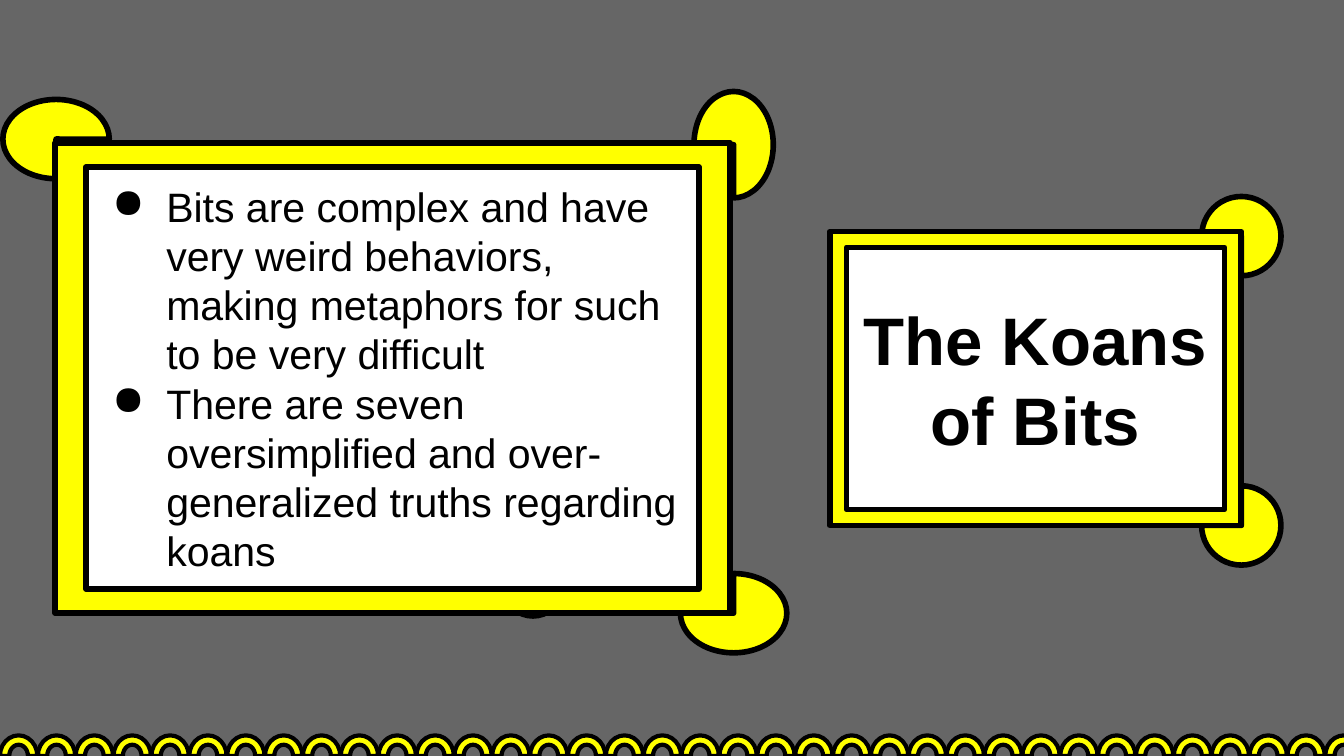
import pptx
import pptx.util
import pptx.dml.color
import pptx.enum.shapes
import pptx.enum.text
import lxml.etree

Pt = pptx.util.Pt
SHAPE = pptx.enum.shapes.MSO_SHAPE
ALIGN = pptx.enum.text.PP_ALIGN
COLORS = {"gray": "666666", "yellow": "FFFF00", "black": "000000", "white": "FFFFFF"}
FONT = "Arial"
SLIDE_W, SLIDE_H = 720, 405


def rgb(name):
    return pptx.dml.color.RGBColor.from_string(COLORS[name])


def add_shape(s, kind, box, fill, line="black", width=3):
    sp = s.shapes.add_shape(kind, *(Pt(v) for v in box))
    sp.shadow.inherit = False
    sp.fill.solid()
    sp.fill.fore_color.rgb = rgb(fill)
    sp.line.color.rgb = rgb(line)
    sp.line.width = Pt(width)
    return sp


def add_knob(s, cx, cy, w, h, rotation, flip=False):
    """Three-quarter pie centred on a point."""
    sp = add_shape(s, SHAPE.PIE, (cx - w / 2, cy - h / 2, w, h), "yellow")
    sp.rotation = rotation
    if flip:
        sp._element.spPr.xfrm.set("flipH", "1")


def add_bullet(p):
    pPr = p._p.get_or_add_pPr()
    pPr.set("marL", str(Pt(36)))
    pPr.set("indent", str(Pt(-29)))
    ns = "{http://schemas.openxmlformats.org/drawingml/2006/main}"
    color = lxml.etree.SubElement(pPr, ns + "buClr")
    lxml.etree.SubElement(color, ns + "srgbClr", val=COLORS["black"])
    lxml.etree.SubElement(pPr, ns + "buChar", char="●")


def add_card(s, box, inset, knobs, knob_size, lines, size, title=False):
    """Yellow frame with corner knobs behind it and a white text panel."""
    x, y, w, h = box
    dx, dy = inset
    for kx, ky, rotation in knobs:
        add_knob(s, x + kx, y + ky, *knob_size, rotation, flip=title)
    add_shape(s, SHAPE.RECTANGLE, box, "yellow")
    panel = add_shape(s, SHAPE.RECTANGLE,
                      (x + dx, y + dy, w - 2 * dx, h - 2 * dy), "white")

    tf = panel.text_frame
    tf.word_wrap = True
    tf.vertical_anchor = pptx.enum.text.MSO_ANCHOR.MIDDLE
    tf.margin_left = tf.margin_right = tf.margin_top = tf.margin_bottom = Pt(7.2)
    tf.text = "\n".join(lines)
    for p in tf.paragraphs:
        p.alignment = ALIGN.CENTER if title else ALIGN.LEFT
        if not title:
            add_bullet(p)
        for r in p.runs:
            r.font.name = FONT
            r.font.size = Pt(size)
            r.font.bold = title
            r.font.color.rgb = rgb("black")


def add_scallops(s, box, count):
    """Row of arches at an equal pitch."""
    x, y, w, h = box
    arch_w = 20
    pitch = (w - arch_w) / (count - 1)
    for i in range(count):
        add_shape(s, SHAPE.BLOCK_ARC, (x + i * pitch, y, arch_w, h),
                  "yellow", width=2.25)


def main():
    prs = pptx.Presentation()
    prs.slide_width, prs.slide_height = Pt(SLIDE_W), Pt(SLIDE_H)
    s = prs.slides.add_slide(prs.slide_layouts[6])

    # Backdrop and bottom border
    add_shape(s, SHAPE.RECTANGLE, (0, 0, SLIDE_W, SLIDE_H), "gray", "gray", 0.75)
    add_scallops(s, (0, 394, 730, 22), 36)

    # Title card
    add_card(s, (444.5, 124, 220.5, 157.5), (9, 8.5),
             [(220.5, 157.5, 0), (220.5, 2.5, 270)], (42.5, 42.5),
             ["The Koans of Bits"], 36, title=True)

    # Text card
    add_card(s, (29.5, 76.5, 361.5, 252), (16.5, 13),
             [(0.5, -2, 90), (363.5, 1, 180), (256, 225, 0), (363.5, 252, 270)],
             (42.5, 57),
             ["Bits are complex and have very weird behaviors, making metaphors "
              "for such to be very difficult",
              "There are seven oversimplified and over-generalized truths "
              "regarding koans"], 22)

    prs.save("out.pptx")


if __name__ == "__main__":
    main()
